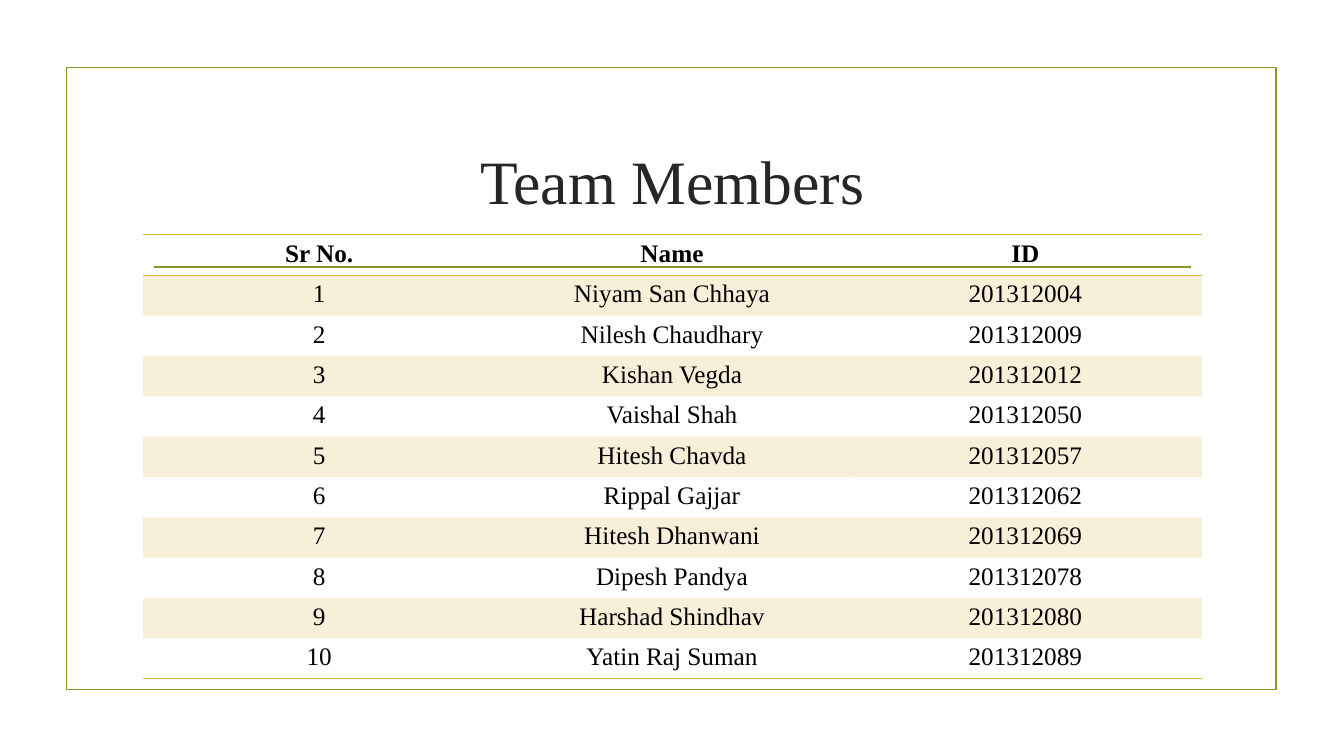
from lxml import etree
from pptx import Presentation
from pptx.dml.color import RGBColor
from pptx.enum.shapes import MSO_CONNECTOR as Conn, MSO_SHAPE as Shape
from pptx.enum.text import MSO_ANCHOR as Anchor, PP_ALIGN as Align
from pptx.oxml.ns import qn
from pptx.util import Inches, Pt

TITLE = "Team Members"
HEAD = ("Sr No.", "Name", "ID")
TEAM = [
    ("Niyam San Chhaya", "201312004"),
    ("Nilesh Chaudhary", "201312009"),
    ("Kishan Vegda", "201312012"),
    ("Vaishal Shah", "201312050"),
    ("Hitesh Chavda", "201312057"),
    ("Rippal Gajjar", "201312062"),
    ("Hitesh Dhanwani", "201312069"),
    ("Dipesh Pandya", "201312078"),
    ("Harshad Shindhav", "201312080"),
    ("Yatin Raj Suman", "201312089"),
]
ROWS = [HEAD] + [(str(n), *who) for n, who in enumerate(TEAM, 1)]
COLS = (3.49, 3.51, 3.5)
LEFT, TOP, WIDTH, HEIGHT = 1.42, 2.33, 10.5, 4.36
GREEN, GOLD, DARK, BLACK = "83992A", "DEB340", "262626", "000000"
FONT = "Times New Roman"
NO_STYLE = "{2D5ABB26-0587-4C30-8999-92F81FD0307C}"


def paint(color, code):
    color.rgb = RGBColor.from_string(code)


def write(frame, text, size=18, color=BLACK, bold=False):
    par = frame.paragraphs[0]
    par.alignment = Align.CENTER
    run = par.add_run()
    run.text = text
    run.font.name = FONT
    run.font.size = Pt(size)
    run.font.bold = bold
    paint(run.font.color, color)


def stroke(line):
    line.width = Pt(1.25)
    paint(line.color, GREEN)


def edge(cell, side):
    """Draw a gold border on one side: T or B."""
    props = cell._tc.get_or_add_tcPr()
    line = etree.SubElement(props, qn(f"a:ln{side}"), w=str(Pt(1)))
    fill = etree.SubElement(line, qn("a:solidFill"))
    etree.SubElement(fill, qn("a:srgbClr"), val=GOLD)


def tint(cell):
    """Fill a cell with gold at 20% opacity."""
    cell.fill.solid()
    paint(cell.fill.fore_color, GOLD)
    color = cell._tc.tcPr.find(".//" + qn("a:solidFill") + "/" + qn("a:srgbClr"))
    etree.SubElement(color, qn("a:alpha"), val="20000")


def add_frame(slide):
    box = slide.shapes.add_shape(
        Shape.RECTANGLE, Inches(0.66), Inches(0.67), Inches(12), Inches(6.17))
    box.shadow.inherit = False
    box.fill.background()
    stroke(box.line)
    rule = slide.shapes.add_connector(
        Conn.STRAIGHT, Inches(1.53), Inches(2.65), Inches(11.81), Inches(2.65))
    stroke(rule.line)
    etree.SubElement(rule._element.spPr, qn("a:effectLst"))


def add_title(slide):
    box = slide.shapes.add_textbox(
        Inches(LEFT), Inches(1.07), Inches(WIDTH), Inches(1.43))
    frame = box.text_frame
    frame.word_wrap = True
    frame.vertical_anchor = Anchor.MIDDLE
    write(frame, TITLE, size=44, color=DARK)


def add_team(slide):
    table = slide.shapes.add_table(
        len(ROWS), len(COLS), Inches(LEFT), Inches(TOP),
        Inches(WIDTH), Inches(HEIGHT)).table
    table._tbl.tblPr.find(qn("a:tableStyleId")).text = NO_STYLE
    for col, width in zip(table.columns, COLS):
        col.width = Inches(width)
    last = len(ROWS) - 1
    for r, row in enumerate(ROWS):
        table.rows[r].height = Inches(HEIGHT / len(ROWS))
        for c, text in enumerate(row):
            cell = table.cell(r, c)
            write(cell.text_frame, text, bold=r == 0)
            if r == 0:
                edge(cell, "T")
            if r in (0, last):
                edge(cell, "B")
            if r % 2:
                tint(cell)
            else:
                cell.fill.background()


def main():
    deck = Presentation()
    deck.slide_width, deck.slide_height = Inches(13.33), Inches(7.5)
    slide = deck.slides.add_slide(deck.slide_layouts[6])
    add_frame(slide)
    add_title(slide)
    add_team(slide)
    deck.save("out.pptx")


if __name__ == "__main__":
    main()
